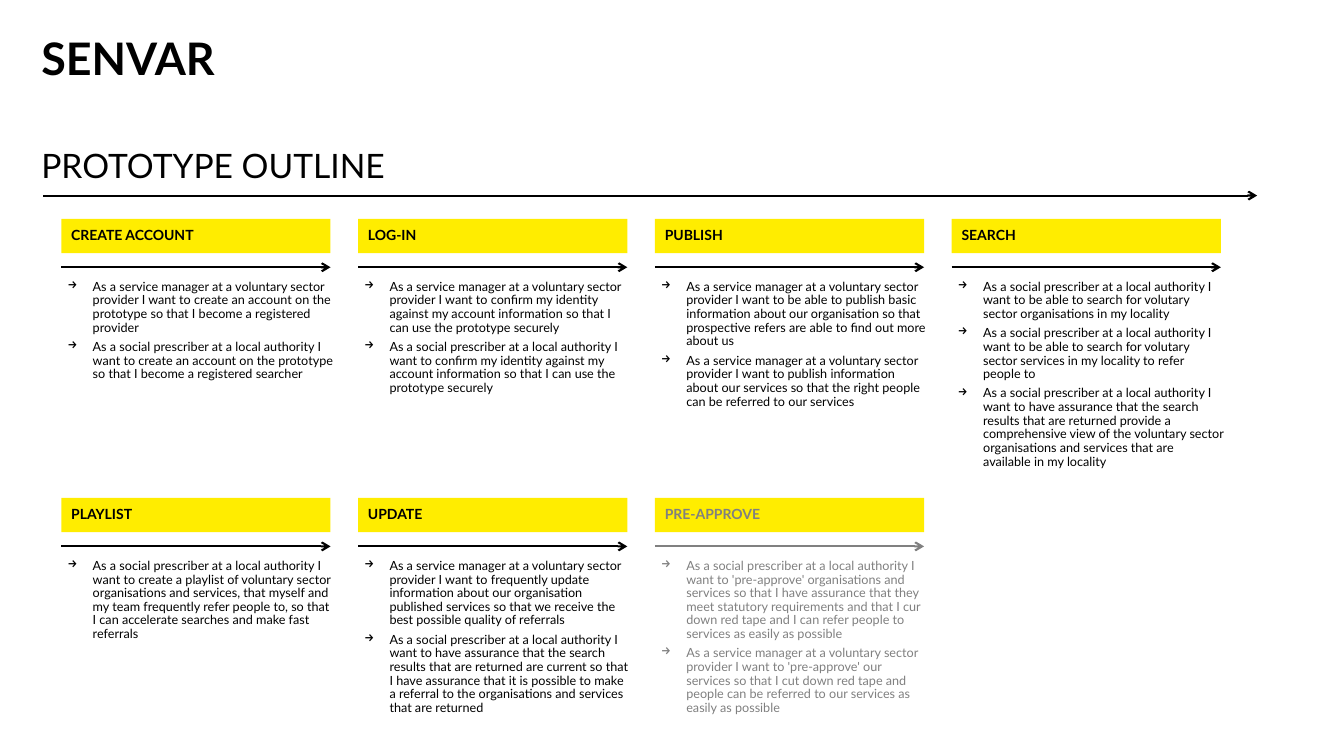
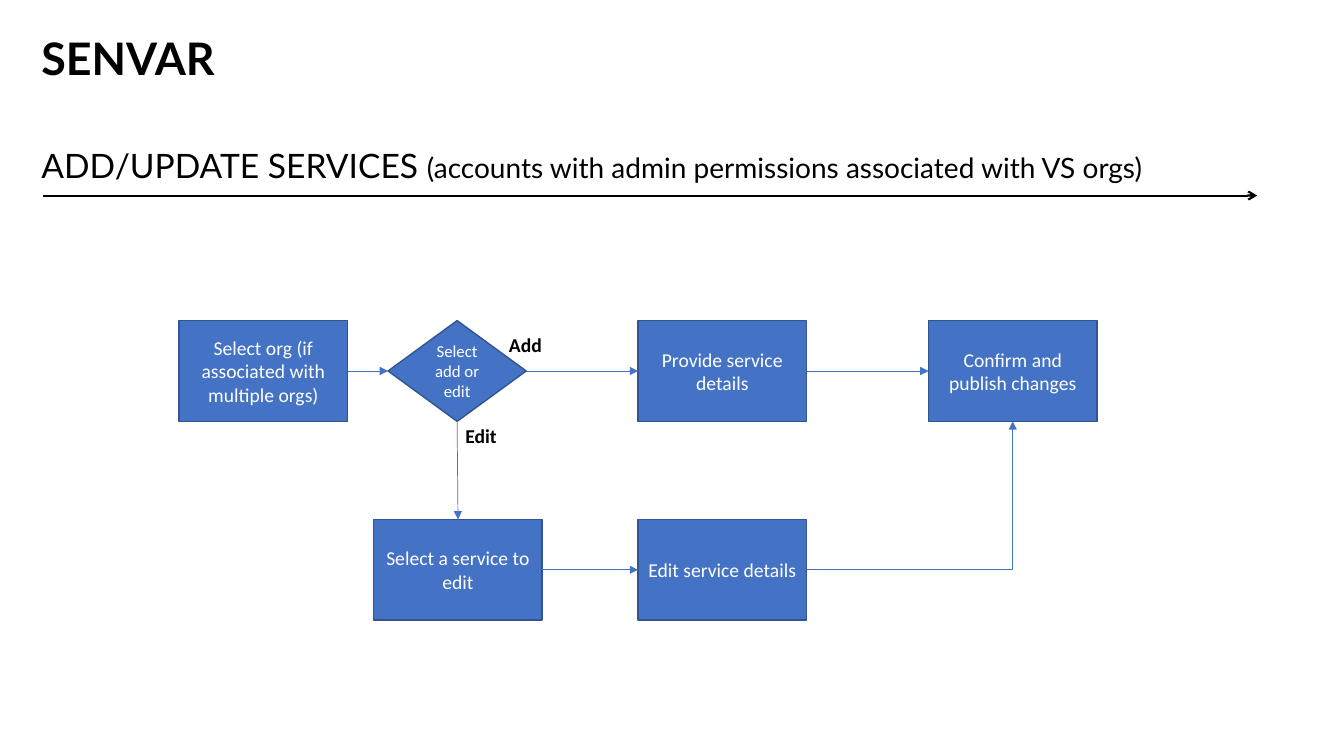
import pptx
import pptx.dml.color
import pptx.enum.shapes
import pptx.enum.text
import pptx.oxml
import pptx.oxml.ns
import pptx.util

Pt = pptx.util.Pt
SHAPE = pptx.enum.shapes.MSO_SHAPE
CONNECTOR = pptx.enum.shapes.MSO_CONNECTOR
ALIGN = pptx.enum.text.PP_ALIGN
ANCHOR = pptx.enum.text.MSO_ANCHOR

BLACK, GREY, WHITE = "000000", "808080", "FFFFFF"
YELLOW, BLUE, DARK_BLUE = "FFED00", "4472C4", "325491"
TOP, LEFT, BOTTOM, RIGHT = range(4)
PROJECT = "SENVAR"

TITLE_FONT = {"name": "Lato", "size": Pt(32), "bold": True}
HEADING_FONT = {"name": "Lato", "size": Pt(24), "bold": False}
NOTE_FONT = {"name": "Lato", "size": Pt(20), "bold": False}
BAND_FONT = {"name": "Lato", "size": Pt(10), "bold": True}
STORY_FONT = {"name": "Lato", "size": Pt(9), "bold": False}
STEP_FONT = {"name": "Calibri", "size": Pt(14)}
DECISION_FONT = {"name": "Calibri", "size": Pt(12)}
LABEL_FONT = {"name": "Calibri", "size": Pt(14), "bold": True}

HEADING_PARAGRAPH = {"alignment": ALIGN.LEFT, "line_spacing": 0.9, "space_before": Pt(10)}
STORY_PARAGRAPH = {"alignment": ALIGN.LEFT, "line_spacing": 0.9, "space_before": Pt(4)}
BAND_PARAGRAPH = {"alignment": ALIGN.LEFT, "line_spacing": 0.9}
CENTRED = {"alignment": ALIGN.CENTER}
TOP_FRAME = {"word_wrap": True, "vertical_anchor": ANCHOR.TOP,
             "auto_size": pptx.enum.text.MSO_AUTO_SIZE.NONE}
MIDDLE_FRAME = {"word_wrap": True, "vertical_anchor": ANCHOR.MIDDLE}
SMALL_MARGINS = dict.fromkeys(
    ("margin_left", "margin_top", "margin_right", "margin_bottom"), Pt(3))

MANAGER = "As a service manager at a voluntary sector provider I want to "
PRESCRIBER = "As a social prescriber at a local authority I want to "
CONFIRM = ("confirm my identity against my account information "
           "so that I can use the prototype securely")
CREATE = "create an account on the prototype so that I become a registered "
CARDS = [
    ("CREATE ACCOUNT", BLACK, [
        MANAGER + CREATE + "provider",
        PRESCRIBER + CREATE + "searcher"]),
    ("LOG-IN", BLACK, [MANAGER + CONFIRM, PRESCRIBER + CONFIRM]),
    ("PUBLISH", BLACK, [
        MANAGER + "be able to publish basic information about our organisation "
        "so that prospective refers are able to find out more about us",
        MANAGER + "publish information about our services "
        "so that the right people can be referred to our services"]),
    ("SEARCH", BLACK, [
        PRESCRIBER + "be able to search for volutary sector organisations in my locality",
        PRESCRIBER + "be able to search for volutary sector services in my locality "
        "to refer people to",
        PRESCRIBER + "have assurance that the search results that are returned provide "
        "a comprehensive view of the voluntary sector organisations and services "
        "that are available in my locality"]),
    ("PLAYLIST", BLACK, [
        PRESCRIBER + "create a playlist of voluntary sector organisations and services, "
        "that myself and my team frequently refer people to, "
        "so that I can accelerate searches and make fast referrals"]),
    ("UPDATE", BLACK, [
        MANAGER + "frequently update information about our organisation published "
        "services so that we receive the best possible quality of referrals",
        PRESCRIBER + "have assurance that the search results that are returned are "
        "current so that I have assurance that it is possible to make a referral "
        "to the organisations and services that are returned"]),
    ("PRE-APPROVE", GREY, [
        PRESCRIBER + "'pre-approve' organisations and services so that I have assurance "
        "that they meet statutory requirements and that I cur down red tape "
        "and I can refer people to services as easily as possible",
        MANAGER + "'pre-approve' our services so that I cut down red tape "
        "and people can be referred to our services as easily as possible"]),
]

STEP_WIDTH, STEP_HEIGHT = 120.3, 72
UPPER_ROW, LOWER_ROW = 229, 371
STEPS = {
    "provide": ("Provide service details", 455.8, UPPER_ROW),
    "confirm": ("Confirm and publish changes", 663.3, UPPER_ROW),
    "edit": ("Edit service details", 455.8, LOWER_ROW),
    "service": ("Select a service to edit", 267, LOWER_ROW),
    "organisation": ("Select org (if associated with multiple orgs)", 128, UPPER_ROW),
}
LINKS = [
    ("organisation", RIGHT, "decision", LEFT),
    ("decision", RIGHT, "provide", LEFT),
    ("provide", RIGHT, "confirm", LEFT),
    ("decision", BOTTOM, "service", TOP),
    ("service", RIGHT, "edit", LEFT),
    ("edit", RIGHT, "confirm", BOTTOM),
]


def color(value):
    """Return the colour of a hex string."""
    return pptx.dml.color.RGBColor.from_string(value)


def assign(target, values):
    """Set attributes of an object from a dict."""
    for name, value in values.items():
        setattr(target, name, value)


def place(shape, left, top, width, height):
    """Move and size a shape in points."""
    assign(shape, {"left": Pt(left), "top": Pt(top), "width": Pt(width), "height": Pt(height)})


def element(tag, **attributes):
    """Create a drawing element."""
    node = pptx.oxml.parse_xml(f"<a:{tag} {pptx.oxml.ns.nsdecls('a')}/>")
    for name, value in attributes.items():
        node.set(name, value)
    return node


def set_bullet(paragraph, character=None):
    """Give a paragraph a hanging bullet, or remove its bullet and indent."""
    properties = paragraph._p.get_or_add_pPr()
    indent = Pt(18) if character else 0
    properties.set("marL", str(indent))
    properties.set("indent", str(-indent))
    properties.append(element("buChar", char=character) if character else element("buNone"))


def write(paragraph, runs, style, ink):
    """Write runs of text and font into a paragraph."""
    assign(paragraph, style)
    for text, font in runs:
        run = paragraph.add_run()
        run.text = text
        assign(run.font, font)
        run.font.color.rgb = color(ink)


def add_arrow(slide, start=(0, 0), end=(0, 0), ink=BLACK, width=1.5, head="arrow",
              kind=CONNECTOR.STRAIGHT):
    """Add a connector with an arrowhead at its end."""
    arrow = slide.shapes.add_connector(kind, *(Pt(value) for value in start + end))
    arrow.line.color.rgb = color(ink)
    arrow.line.width = Pt(width)
    arrow.line._get_or_add_ln().append(element("tailEnd", type=head))
    arrow._element.spPr.append(element("effectLst"))
    return arrow


def add_box(slide, kind, frame, fill, outline=None):
    """Add a filled shape that centres its text vertically."""
    box = slide.shapes.add_shape(kind, *(Pt(value) for value in frame))
    box.shadow.inherit = False
    box.fill.solid()
    box.fill.fore_color.rgb = color(fill)
    if outline:
        box.line.color.rgb = color(outline)
        box.line.width = Pt(1)
    else:
        box.line.fill.background()
    assign(box.text_frame, MIDDLE_FRAME)
    return box


def add_slide(presentation, heading):
    """Add a slide with project title, heading and long arrow."""
    slide = presentation.slides.add_slide(presentation.slide_layouts[1])
    title, body = slide.shapes.title, slide.placeholders[1]
    place(title, 22.3, 23, 712, 29.5)
    place(body, 22.3, 103, 895, 29.5)
    for shape, runs in ((title, [(PROJECT, TITLE_FONT)]), (body, heading)):
        assign(shape.text_frame, TOP_FRAME)
        paragraph = shape.text_frame.paragraphs[0]
        write(paragraph, runs, HEADING_PARAGRAPH, BLACK)
        set_bullet(paragraph)
    add_arrow(slide, (31, 139.7), (898, 139.7))
    return slide


def add_card(slide, left, top, title, ink, stories):
    """Add a titled band, an arrow and a list of user stories."""
    width = 192.3
    band = add_box(slide, SHAPE.RECTANGLE, (left, top, width, 24.5), YELLOW)
    write(band.text_frame.paragraphs[0], [(title, BAND_FONT)], BAND_PARAGRAPH, ink)
    add_arrow(slide, (left, top + 34.6), (left + width, top + 34.6), ink)
    story_list = slide.shapes.add_textbox(Pt(left - 2.6), Pt(top + 40.4), Pt(203.8), Pt(76.3))
    frame = story_list.text_frame
    assign(frame, TOP_FRAME)
    for index, story in enumerate(stories):
        paragraph = frame.add_paragraph() if index else frame.paragraphs[0]
        write(paragraph, [(story, STORY_FONT)], STORY_PARAGRAPH, ink)
        set_bullet(paragraph, "→")


def add_step(slide, kind, frame, text, font):
    """Add a step of the flow chart."""
    step = add_box(slide, kind, frame, BLUE, DARK_BLUE)
    write(step.text_frame.paragraphs[0], [(text, font)], CENTRED, WHITE)
    return step


def add_link(slide, source, source_side, target, target_side):
    """Join two steps, with one corner where their sides differ in direction."""
    bent = source_side == RIGHT and target_side == BOTTOM
    kind = CONNECTOR.ELBOW if bent else CONNECTOR.STRAIGHT
    link = add_arrow(slide, ink=BLUE, width=0.5, head="triangle", kind=kind)
    link.begin_connect(source, source_side)
    link.end_connect(target, target_side)
    if bent:
        link._element.spPr.find(pptx.oxml.ns.qn("a:prstGeom")).set("prst", "bentConnector2")


def add_label(slide, text, left, top):
    """Add a bold label beside a link."""
    label = slide.shapes.add_textbox(Pt(left), Pt(top), Pt(38), Pt(24.5))
    label.text_frame.word_wrap = False
    write(label.text_frame.paragraphs[0], [(text, LABEL_FONT)], {}, BLACK)


def build_outline(presentation):
    """Build the slide of user stories."""
    slide = add_slide(presentation, [("PROTOTYPE OUTLINE", HEADING_FONT)])
    for index, card in enumerate(CARDS):
        row, column = divmod(index, 4)
        add_card(slide, 43.8 + 212 * column, 156.3 + 199.4 * row, *card)


def build_flow(presentation):
    """Build the flow chart slide."""
    slide = add_slide(presentation, [
        ("ADD/UPDATE SERVICES ", HEADING_FONT),
        ("(accounts with admin permissions associated with VS orgs)", NOTE_FONT)])
    steps = {
        name: add_step(slide, SHAPE.RECTANGLE, (left, top, STEP_WIDTH, STEP_HEIGHT),
                       text, STEP_FONT)
        for name, (text, left, top) in STEPS.items()}
    decision = add_step(slide, SHAPE.FLOWCHART_DECISION, (277.2, UPPER_ROW, 98.7, STEP_HEIGHT),
                        "Select add or edit", DECISION_FONT)
    assign(decision.text_frame, SMALL_MARGINS)
    steps["decision"] = decision
    for source, source_side, target, target_side in LINKS:
        add_link(slide, steps[source], source_side, steps[target], target_side)
    add_label(slide, "Add", 356.4, 234)
    add_label(slide, "Edit", 325.3, 299)


def main():
    """Build and save the presentation."""
    presentation = pptx.Presentation()
    assign(presentation, {"slide_width": Pt(960), "slide_height": Pt(540)})
    build_outline(presentation)
    build_flow(presentation)
    presentation.save("out.pptx")


main()
